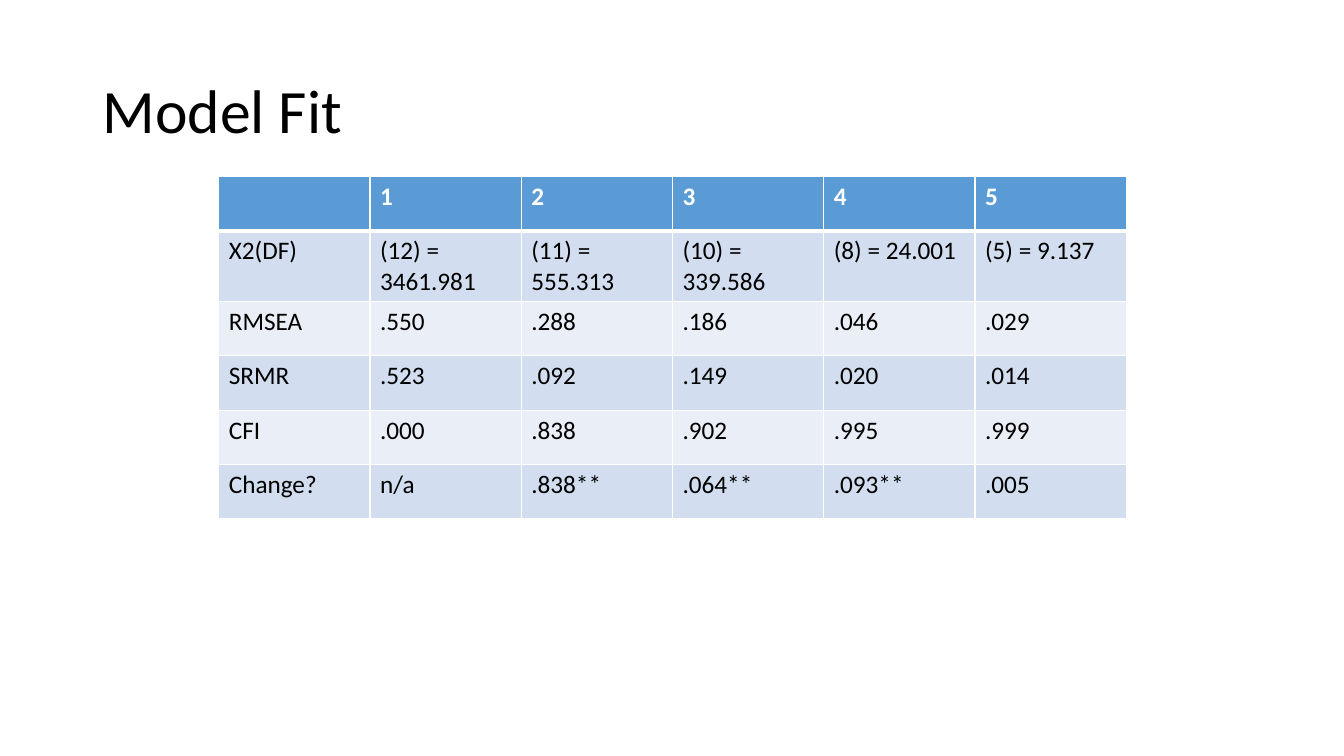
from lxml.etree import SubElement
from pptx import Presentation
from pptx.dml.color import RGBColor
from pptx.enum.text import MSO_ANCHOR
from pptx.oxml.ns import qn
from pptx.util import Inches, Pt

FONT = "Calibri"
BLACK, WHITE = "000000", "FFFFFF"
HEAD, DARK, LIGHT = "5B9BD5", "D2DEEF", "EAEFF7"
FITS = [
    ["", "1", "2", "3", "4", "5"],
    ["X2(DF)", "(12) = 3461.981", "(11) = 555.313", "(10) = 339.586",
     "(8) = 24.001", "(5) = 9.137"],
    ["RMSEA", ".550", ".288", ".186", ".046", ".029"],
    ["SRMR", ".523", ".092", ".149", ".020", ".014"],
    ["CFI", ".000", ".838", ".902", ".995", ".999"],
    ["Change?", "n/a", ".838**", ".064**", ".093**", ".005"],
]


def paint(item, color):
    """Give a fill a solid colour."""
    item.solid()
    item.fore_color.rgb = RGBColor.from_string(color)


def style(para, size, color, bold=False):
    """Set the font of a paragraph."""
    font = para.font
    font.name, font.size, font.bold = FONT, Pt(size), bold
    paint(font.fill, color)


def add_title(slide, text):
    """Add the slide heading."""
    box = slide.shapes.add_textbox(
        Inches(0.92), Inches(0.4), Inches(11.5), Inches(1.45))
    frame = box.text_frame
    frame.word_wrap = True
    frame.vertical_anchor = MSO_ANCHOR.MIDDLE
    para = frame.paragraphs[0]
    para.text = text
    para.line_spacing = 0.9
    style(para, 44, BLACK)


def add_edge(cell, side, width):
    """Draw one white border of a cell."""
    props = cell._tc.get_or_add_tcPr()
    line = SubElement(props, qn(f"a:ln{side}"), w=str(Pt(width)))
    fill = SubElement(line, qn("a:solidFill"))
    SubElement(fill, qn("a:srgbClr"), val=WHITE)


def fill_cell(cell, text, row):
    """Write and format one cell by its row."""
    head = row == 0
    cell.text = text
    style(cell.text_frame.paragraphs[0], 18, WHITE if head else BLACK, head)
    widths = {"L": 1, "R": 1, "T": 3 if row == 1 else 1, "B": 3 if head else 1}
    for side, width in widths.items():
        add_edge(cell, side, width)
    paint(cell.fill, HEAD if head else DARK if row % 2 else LIGHT)


def add_grid(slide, rows):
    """Add the table of fit values."""
    count, span = len(rows), len(rows[0])
    table = slide.shapes.add_table(
        count, span, Inches(2.17), Inches(1.75),
        Inches(1.5 * span), Inches(0.54 * count)).table
    for row, texts in enumerate(rows):
        for col, text in enumerate(texts):
            fill_cell(table.cell(row, col), text, row)


def main():
    """Build and save the slide."""
    deck = Presentation()
    deck.slide_width, deck.slide_height = Inches(13.33), Inches(7.5)
    slide = deck.slides.add_slide(deck.slide_layouts[6])
    add_title(slide, "Model Fit")
    add_grid(slide, FITS)
    deck.save("out.pptx")


if __name__ == "__main__":
    main()
